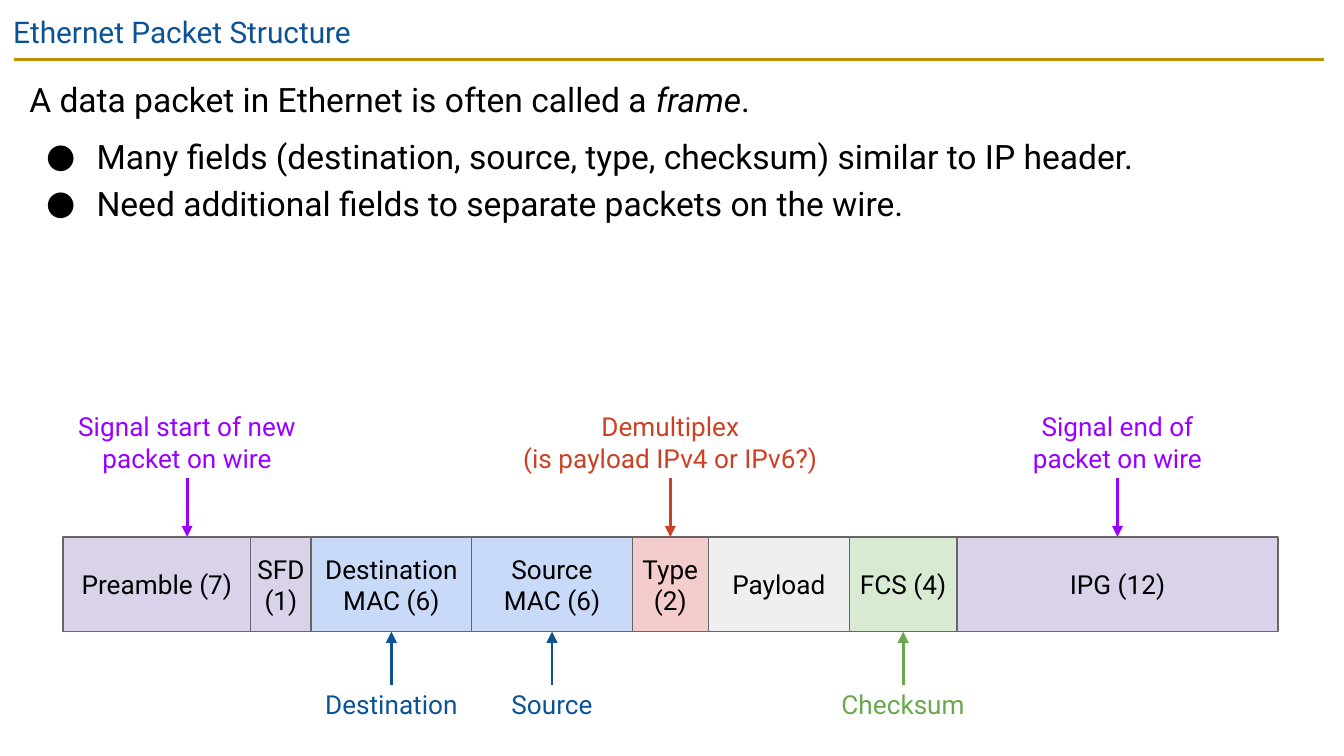
from copy import deepcopy
from itertools import accumulate

from pptx import Presentation
from pptx import util as u
from pptx.dml.color import RGBColor
from pptx.enum import shapes, text
from pptx.oxml import ns, xmlchemy

PX = 4572
FONT = "Roboto"
BLACK, BLUE, GOLD, BORDER = "000000", "0B5394", "BF9000", "666666"
PURPLE, RED, GREEN = "9900FF", "CC4125", "6AA84F"
LILAC, SKY, PINK, GREY, MINT = "D9D2E9", "C9DAF8", "F4CCCC", "EFEFEF", "D9EAD3"
FRAME_LEFT, FRAME_TOP, FRAME_HEIGHT = 94, 799, 141
FRAME_BOTTOM = FRAME_TOP + FRAME_HEIGHT
ARROW_TOP, ARROW_BOTTOM = 711, 1019

FIELDS = [
    ("Preamble (7)", 279, LILAC),
    ("SFD (1)", 90, LILAC),
    ("Destination MAC (6)", 239, SKY),
    ("Source\nMAC (6)", 239, SKY),
    ("Type (2)", 113, PINK),
    ("Payload", 210, GREY),
    ("FCS (4)", 160, MINT),
    ("IPG (12)", 478, LILAC),
]

NOTES = [
    ("Signal start of new packet on wire", 0, 1, True, 346, PURPLE),
    ("Destination", 2, 2, False, 230, BLUE),
    ("Source", 3, 3, False, 230, BLUE),
    ("Demultiplex\n(is payload IPv4 or IPv6?)", 4, 4, True, 464, RED),
    ("Checksum", 6, 6, False, 230, GREEN),
    ("Signal end of packet on wire", 7, 7, True, 280, PURPLE),
]


def px(n):
    return u.Emu(round(n * PX))


def rgb(color):
    return RGBColor.from_string(color)


def add_xml(parent, tag, **attributes):
    child = xmlchemy.OxmlElement(tag)
    for name, value in attributes.items():
        child.set(name, value)
    parent.append(child)


def format_runs(p, size, color):
    for r in p.runs:
        r.font.size = u.Pt(size)
        r.font.name = FONT
        r.font.color.rgb = rgb(color)
    for br in p._p.findall(ns.qn("a:br")):
        br.append(deepcopy(p._p.find(ns.qn("a:r")).find(ns.qn("a:rPr"))))


def set_margins(tf, margin):
    tf.word_wrap = True
    tf.margin_left = tf.margin_right = px(margin)
    tf.margin_top = tf.margin_bottom = px(margin)


def add_text(s, box, margin):
    tf = s.shapes.add_textbox(*map(px, box)).text_frame
    set_margins(tf, margin)
    return tf


def set_centered(p, words, color):
    p.text = words
    p.alignment = text.PP_ALIGN.CENTER
    format_runs(p, 14, color)


def add_line(s, start, end, color, arrow=False):
    line = s.shapes.add_connector(
        shapes.MSO_CONNECTOR.STRAIGHT, *map(px, start + end))
    line.line.color.rgb = rgb(color)
    line.line.width = u.Pt(1.5)
    spPr = line._element.spPr
    if arrow:
        add_xml(spPr.find(ns.qn("a:ln")), "a:tailEnd", type="triangle")
    add_xml(spPr, "a:effectLst")


def add_bullet(p):
    pPr = p._p.get_or_add_pPr()
    pPr.set("marL", str(px(100)))
    pPr.set("indent", str(px(-75)))
    add_xml(pPr, "a:buFont", typeface=FONT)
    add_xml(pPr, "a:buChar", char="●")


def add_heading(s):
    add_line(s, (21, 89), (1970, 89), GOLD)
    p = add_text(s, (0, 0, 2000, 86), 20).paragraphs[0]
    p.text = "Ethernet Packet Structure"
    format_runs(p, 16, BLUE)


def add_body(s):
    tf = add_text(s, (24, 88, 1948, 340), 20)
    tf.text = (
        "A data packet in Ethernet is often called a \n"
        "Many fields (destination, source, type, checksum) similar to IP header.\n"
        "Need additional fields to separate packets on the wire."
    )
    intro, *bullets = tf.paragraphs
    term = intro.add_run()
    term.text = "frame"
    term.font.italic = True
    intro.add_run().text = "."
    for p, space in zip(tf.paragraphs, (6, 6, 0)):
        p.line_spacing = 1.15
        p.space_before = u.Pt(space)
        format_runs(p, 18, BLACK)
    for p in bullets:
        add_bullet(p)


def add_field(s, left, width, words, fill):
    sp = s.shapes.add_shape(
        shapes.MSO_SHAPE.RECTANGLE,
        *map(px, (left, FRAME_TOP, width, FRAME_HEIGHT)))
    sp.shadow.inherit = False
    sp.fill.solid()
    sp.fill.fore_color.rgb = rgb(fill)
    sp.line.color.rgb = rgb(BORDER)
    sp.line.width = u.Pt(0.75)
    tf = sp.text_frame
    set_margins(tf, 0)
    tf.vertical_anchor = text.MSO_ANCHOR.MIDDLE
    set_centered(tf.paragraphs[0], words, BLACK)


def add_note(s, center, words, above, width, color):
    if above:
        start, end, top, height = ARROW_TOP, FRAME_TOP, ARROW_TOP - 106, 106
    else:
        start, end, top, height = ARROW_BOTTOM, FRAME_BOTTOM, ARROW_BOTTOM, 60
    add_line(s, (center, start), (center, end), color, arrow=True)
    tf = add_text(s, (center - width / 2, top, width, height), 6)
    set_centered(tf.paragraphs[0], words, color)


def main():
    prs = Presentation()
    prs.slide_width, prs.slide_height = px(2000), px(1125)
    s = prs.slides.add_slide(prs.slide_layouts[6])
    add_heading(s)
    add_body(s)
    edges = list(accumulate((width for _, width, _ in FIELDS), initial=FRAME_LEFT))
    for left, (words, width, fill) in zip(edges, FIELDS):
        add_field(s, left, width, words, fill)
    for words, first, last, above, width, color in NOTES:
        center = (edges[first] + edges[last + 1]) / 2
        add_note(s, center, words, above, width, color)
    prs.save("out.pptx")


if __name__ == "__main__":
    main()
